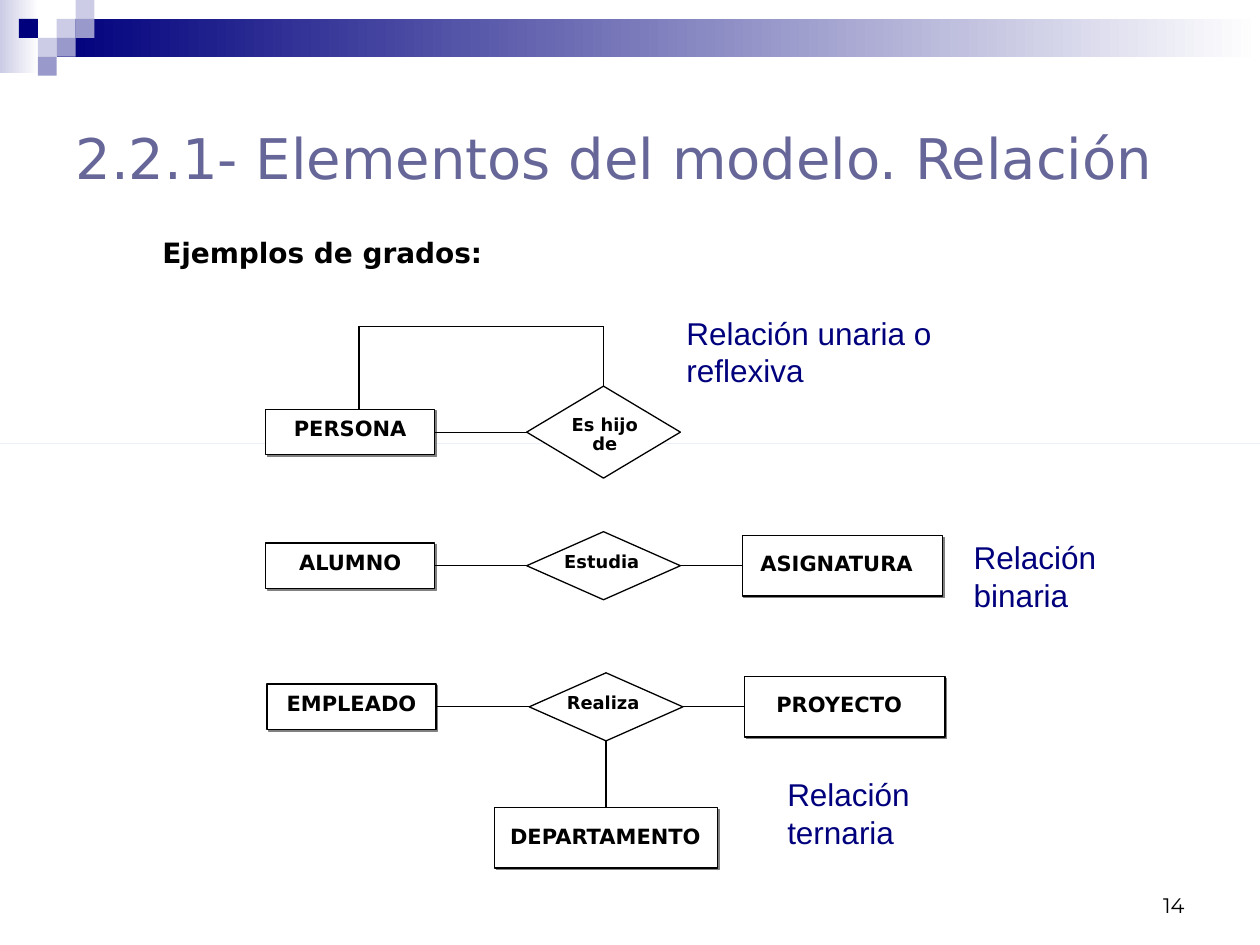
from dataclasses import dataclass
from typing import Any, Optional

import lxml.etree
import pptx
import pptx.dml.color
import pptx.enum.shapes
import pptx.enum.text
import pptx.oxml.ns
import pptx.util

Inches = pptx.util.Inches
Shapes = pptx.enum.shapes.MSO_SHAPE
Align = pptx.enum.text.PP_ALIGN
Anchor = pptx.enum.text.MSO_ANCHOR
TOP, LEFT, BOTTOM, RIGHT = range(4)


@dataclass(frozen=True)
class Theme:
    navy: str = "00007D"
    lavender: str = "CCCCE6"
    violet: str = "9999CC"
    title: str = "666699"
    hairline: str = "C6D9F1"
    shadow: str = "808080"
    black: str = "000000"
    white: str = "FFFFFF"
    heading_font: str = "DejaVu Sans"
    note_font: str = "Arial"
    number_font: str = "Montserrat"
    title_size: float = 32
    note_size: float = 18
    subtitle_size: float = 16
    entity_size: float = 12
    relation_size: float = 10.2
    line_width: float = 0.75


THEME = Theme()


@dataclass(frozen=True)
class Box:
    left: float
    top: float
    width: float
    height: float

    def lengths(self) -> list:
        return [Inches(value) for value in (self.left, self.top, self.width, self.height)]


@dataclass(frozen=True)
class Style:
    size: float
    font: str = THEME.heading_font
    color: str = THEME.black
    bold: bool = False
    align: Any = Align.LEFT
    anchor: Any = Anchor.TOP
    spacing: float = 1.0


@dataclass(frozen=True)
class Row:
    axis: float
    shift: float
    entity: str
    relation: str
    diamond_height: float
    label: Box
    label_align: Any = Align.LEFT
    partner: Optional[str] = None


TITLE = Style(THEME.title_size, color=THEME.title, anchor=Anchor.MIDDLE)
SUBTITLE = Style(THEME.subtitle_size, bold=True)
ENTITY = Style(THEME.entity_size, bold=True, align=Align.CENTER)
NOTE = Style(THEME.note_size, THEME.note_font, THEME.navy)
NUMBER = Style(12, THEME.number_font, align=Align.RIGHT, anchor=Anchor.BOTTOM)

ROWS = [
    Row(3.43, 0, "PERSONA", "Es hijo de", 0.73, Box(4.33, 3.25, 0.94, 0.27), Align.CENTER),
    Row(4.49, 0, "ALUMNO", "Estudia", 0.54, Box(4.38, 4.34, 0.94, 0.27), partner="ASIGNATURA"),
    Row(5.61, 0.02, "EMPLEADO", "Realiza", 0.54, Box(4.4, 5.46, 0.94, 0.27), partner="PROYECTO"),
]
NOTES = [
    ("Relación unaria o reflexiva", Box(5.35, 2.44, 2.43, 0.7)),
    ("Relación binaria", Box(7.63, 4.22, 1.9, 0.7)),
    ("Relación ternaria", Box(6.15, 6.1, 1.9, 0.7)),
]
# Column, row and colour of each square in the corner
CORNER_STEP = 0.15
CORNER = [
    (3, 1, THEME.lavender), (4, 0, THEME.lavender), (4, 1, THEME.violet),
    (2, 2, THEME.lavender), (1, 1, THEME.navy), (3, 2, THEME.violet), (2, 3, THEME.violet),
]


def rgb(color: str) -> pptx.dml.color.RGBColor:
    return pptx.dml.color.RGBColor.from_string(color)


def set_all(target: Any, values: dict) -> None:
    for name, value in values.items():
        setattr(target, name, value)


def write(shape: Any, text: str, style: Style) -> None:
    frame = shape.text_frame
    frame.text = text
    set_all(frame, {"word_wrap": True, "vertical_anchor": style.anchor,
                    "auto_size": pptx.enum.text.MSO_AUTO_SIZE.NONE})
    paragraph = frame.paragraphs[0]
    set_all(paragraph, {"alignment": style.align, "line_spacing": style.spacing})
    font = paragraph.runs[0].font
    set_all(font, {"name": style.font, "size": pptx.util.Pt(style.size), "bold": style.bold})
    font.color.rgb = rgb(style.color)


def add_text(slide: Any, box: Box, text: str, style: Style) -> Any:
    shape = slide.shapes.add_textbox(*box.lengths())
    write(shape, text, style)
    return shape


def add_block(slide: Any, box: Box, color: str, fade_to: Optional[str] = None) -> None:
    shape = slide.shapes.add_shape(Shapes.RECTANGLE, *box.lengths())
    shape.shadow.inherit = False
    shape.line.fill.background()
    if fade_to is None:
        shape.fill.solid()
        shape.fill.fore_color.rgb = rgb(color)
        return
    shape.fill.gradient()
    shape.fill.gradient_angle = 0
    for stop, stop_color in zip(shape.fill.gradient_stops, (color, fade_to)):
        stop.color.rgb = rgb(stop_color)


def add_node(slide: Any, kind: Any, box: Box) -> Any:
    shape = slide.shapes.add_shape(kind, *box.lengths())
    shape.shadow.inherit = False
    shape.fill.solid()
    shape.fill.fore_color.rgb = rgb(THEME.white)
    shape.line.color.rgb = rgb(THEME.black)
    shape.line.width = pptx.util.Pt(THEME.line_width)
    return shape


def add_entity(slide: Any, box: Box) -> Any:
    shape = add_node(slide, Shapes.RECTANGLE, box)
    qn = pptx.oxml.ns.qn
    effects = shape.element.spPr.find(qn("a:effectLst"))
    shadow = lxml.etree.SubElement(effects, qn("a:outerShdw"), dist="17780", dir="2700000",
                                   algn="ctr", rotWithShape="0")
    lxml.etree.SubElement(shadow, qn("a:srgbClr"), val=THEME.shadow)
    return shape


def add_line(slide: Any, start: tuple, end: tuple) -> Any:
    points = [Inches(value) for value in (*start, *end)]
    line = slide.shapes.add_connector(pptx.enum.shapes.MSO_CONNECTOR.STRAIGHT, *points)
    line.line.color.rgb = rgb(THEME.black)
    line.line.width = pptx.util.Pt(THEME.line_width)
    lxml.etree.SubElement(line._element.spPr, pptx.oxml.ns.qn("a:effectLst"))
    return line


def join(slide: Any, first: Any, first_side: int, second: Any, second_side: int) -> None:
    line = add_line(slide, (0, 0), (1, 1))
    line.begin_connect(first, first_side)
    line.end_connect(second, second_side)


def add_row(slide: Any, row: Row) -> tuple:
    entity = add_entity(slide, Box(2.11 + row.shift / 2, row.axis - 0.18, 1.34, 0.36))
    write(entity, row.entity, ENTITY)
    height = row.diamond_height
    diamond = add_node(slide, Shapes.DIAMOND, Box(4.18 + row.shift, row.axis - height / 2, 1.22, height))
    style = Style(THEME.relation_size, bold=True, align=row.label_align, spacing=0.9)
    add_text(slide, row.label, row.relation, style)
    join(slide, entity, RIGHT, diamond, LEFT)
    if row.partner:
        left = 5.89 + row.shift
        partner = add_entity(slide, Box(left, row.axis - 0.24, 1.59, 0.48))
        add_text(slide, Box(left - 0.04, row.axis - 0.17, 1.58, 0.61), row.partner, ENTITY)
        join(slide, diamond, RIGHT, partner, LEFT)
    return entity, diamond


def main() -> None:
    presentation = pptx.Presentation()
    set_all(presentation, {"slide_width": Inches(10), "slide_height": Inches(7.5)})
    slide = presentation.slides.add_slide(presentation.slide_layouts[5])

    # Header band and corner squares
    add_block(slide, Box(0, 0, 0.31, 0.58), THEME.lavender, THEME.white)
    add_block(slide, Box(0.45, 0.15, 9.55, 0.3), THEME.navy, THEME.white)
    for column, row, color in CORNER:
        add_block(slide, Box(column * CORNER_STEP, row * CORNER_STEP, CORNER_STEP, CORNER_STEP), color)

    # Title, subtitle and slide number
    title = slide.shapes.title
    set_all(title, dict(zip(("left", "top", "width", "height"), Box(0.5, 0.5, 9, 1.5).lengths())))
    write(title, "2.2.1- Elementos del modelo. Relación", TITLE)
    add_text(slide, Box(1.19, 1.82, 8.14, 0.4), "Ejemplos de grados:", SUBTITLE)
    add_text(slide, Box(7.17, 6.83, 2.33, 0.5), "14", NUMBER)
    add_block(slide, Box(0, 3.52, 10, 0), THEME.hairline)

    # Relation rows
    nodes = [add_row(slide, row) for row in ROWS]

    # Loop of the reflexive relation
    loop_left, loop_top, loop_right = 2.85, 2.59, 4.79
    add_line(slide, (loop_left, ROWS[0].axis - 0.18), (loop_left, loop_top))
    add_line(slide, (loop_left, loop_top), (loop_right, loop_top))
    add_line(slide, (loop_right, loop_top), (loop_right, 3.07)).end_connect(nodes[0][1], TOP)

    # Third entity of the ternary relation
    department = add_entity(slide, Box(3.925, 6.41, 1.77, 0.48))
    add_text(slide, Box(3.81, 6.49, 1.99, 0.61), "DEPARTAMENTO", ENTITY)
    join(slide, department, TOP, nodes[2][1], BOTTOM)

    # Notes on the degree of each relation
    for text, box in NOTES:
        add_text(slide, box, text, NOTE)

    presentation.save("out.pptx")


if __name__ == "__main__":
    main()
